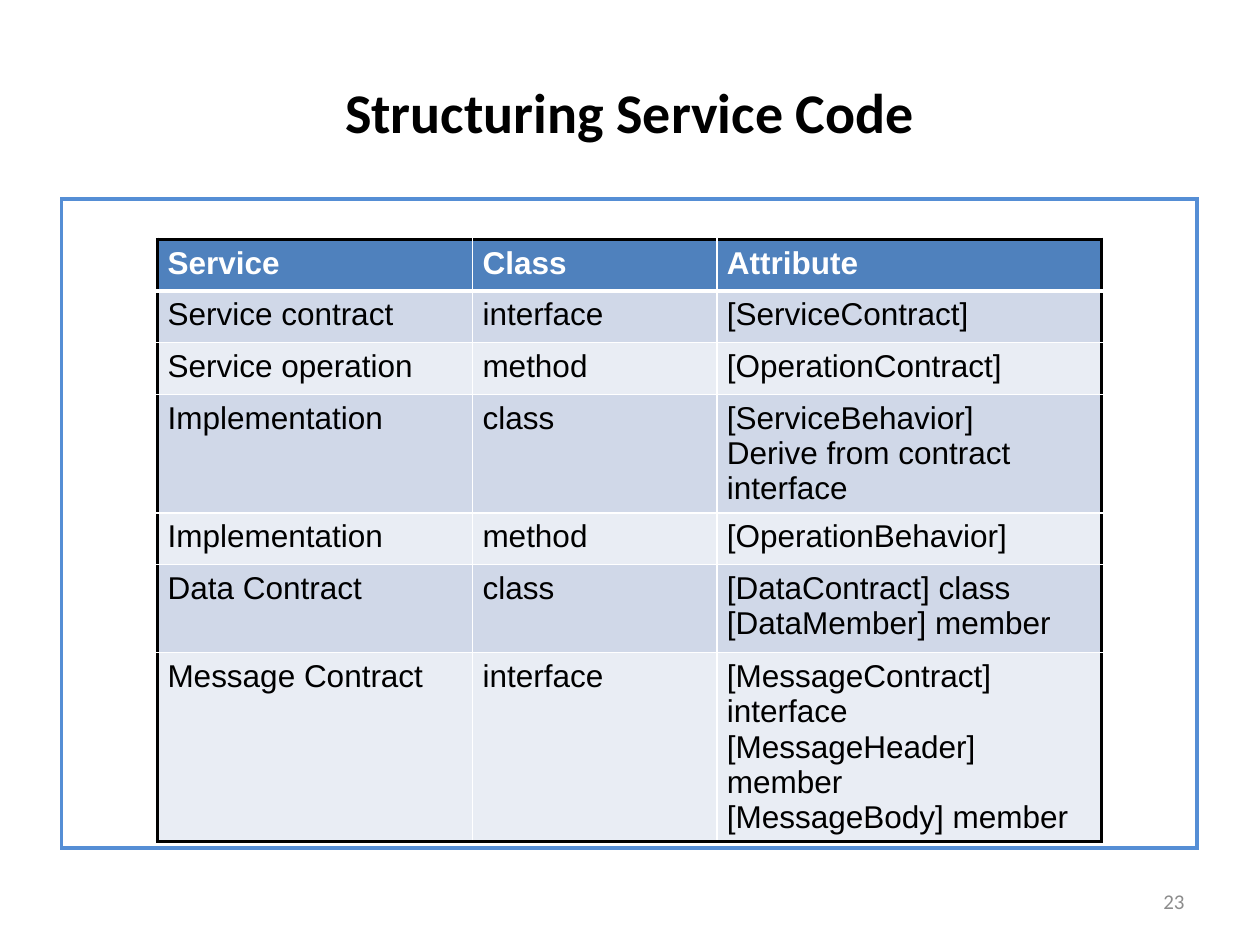
from dataclasses import dataclass

from lxml.etree import SubElement
from pptx import Presentation
from pptx.dml.color import RGBColor
from pptx.enum.text import MSO_ANCHOR as Anchor, PP_ALIGN as Align
from pptx.oxml import parse_xml
from pptx.oxml.ns import nsdecls, qn
from pptx.util import Inches, Pt


@dataclass(frozen=True)
class Theme:
    heading_font: str = "Calibri"
    body_font: str = "Arial"
    title_size: float = 32
    body_size: float = 18
    number_size: float = 12
    black: str = "000000"
    white: str = "FFFFFF"
    gray: str = "8C8C8C"
    header: str = "4F81BD"
    bands: tuple = ("D0D8E8", "E9EDF4")
    frame: str = "558ED5"
    outer_line: float = 2.25
    inner_line: float = 1
    header_line: float = 3


THEME = Theme()

COLUMN_WIDTHS = (2.5, 1.94, 3.05)
ROW_HEIGHTS = (0.41, 0.41, 0.41, 0.7, 0.41, 0.7, 1)
SERVICE_ROWS = (
    ("Service", "Class", "Attribute"),
    ("Service contract", "interface", "[ServiceContract]"),
    ("Service operation", "method", "[OperationContract]"),
    ("Implementation", "class", "[ServiceBehavior]\nDerive from contract interface"),
    ("Implementation", "method", "[OperationBehavior]"),
    ("Data Contract", "class", "[DataContract] class\n[DataMember] member"),
    ("Message Contract", "interface",
     "[MessageContract] interface\n[MessageHeader] member\n[MessageBody] member"),
)


def add_run(paragraph, text, font_name, size, color, bold=False):
    run = paragraph.add_run()
    run.text = text
    run.font.name = font_name
    run.font.size = Pt(size)
    run.font.bold = bold
    run.font.color.rgb = RGBColor.from_string(color)


def set_borders(cell, left, right, top, bottom):
    """Put the four (color, width) lines ahead of the cell's fill."""
    properties = cell._tc.get_or_add_tcPr()
    sides = zip(("lnL", "lnR", "lnT", "lnB"), (left, right, top, bottom))
    for index, (tag, (color, width)) in enumerate(sides):
        line = parse_xml(f'<a:{tag} {nsdecls("a")} w="{Pt(width)}"/>')
        fill = SubElement(line, qn("a:solidFill"))
        SubElement(fill, qn("a:srgbClr"), val=color)
        properties.insert(index, line)


def add_plain_table(slide, row_count, column_count, box):
    table = slide.shapes.add_table(row_count, column_count, *map(Inches, box)).table
    table.first_row = False
    table.horz_banding = False
    return table


def place_title(slide, box, text):
    title = slide.shapes.title
    title.left, title.top, title.width, title.height = map(Inches, box)
    title.text_frame.vertical_anchor = Anchor.MIDDLE
    paragraph = title.text_frame.paragraphs[0]
    paragraph.alignment = Align.CENTER
    add_run(paragraph, text, THEME.heading_font, THEME.title_size, THEME.black, True)


def place_service_table(slide, box):
    table = add_plain_table(slide, len(SERVICE_ROWS), len(COLUMN_WIDTHS), box)
    for column, width in zip(table.columns, COLUMN_WIDTHS):
        column.width = Inches(width)
    for row, height in zip(table.rows, ROW_HEIGHTS):
        row.height = Inches(height)

    outer = (THEME.black, THEME.outer_line)
    inner = (THEME.white, THEME.inner_line)
    below_header = (THEME.white, THEME.header_line)
    last_row, last_column = len(SERVICE_ROWS) - 1, len(COLUMN_WIDTHS) - 1
    for r, texts in enumerate(SERVICE_ROWS):
        is_header = r == 0
        fill_color = THEME.header if is_header else THEME.bands[(r - 1) % 2]
        text_color = THEME.white if is_header else THEME.black
        top = outer if is_header else below_header if r == 1 else inner
        bottom = below_header if is_header else outer if r == last_row else inner
        for c, text in enumerate(texts):
            cell = table.cell(r, c)
            cell.margin_left = cell.margin_right = Inches(0.08)
            cell.margin_top = cell.margin_bottom = Inches(0.05)
            cell.fill.solid()
            cell.fill.fore_color.rgb = RGBColor.from_string(fill_color)
            set_borders(cell, outer if c == 0 else inner,
                        outer if c == last_column else inner, top, bottom)
            for i, line in enumerate(text.split("\n")):
                frame = cell.text_frame
                paragraph = frame.add_paragraph() if i else frame.paragraphs[0]
                add_run(paragraph, line, THEME.body_font, THEME.body_size,
                        text_color, is_header)


def place_page_number(slide, box, number):
    text_frame = slide.shapes.add_textbox(*map(Inches, box)).text_frame
    text_frame.word_wrap = True
    text_frame.vertical_anchor = Anchor.MIDDLE
    paragraph = text_frame.paragraphs[0]
    paragraph.alignment = Align.RIGHT
    add_run(paragraph, number, THEME.heading_font, THEME.number_size, THEME.gray)


def place_frame(slide, box):
    cell = add_plain_table(slide, 1, 1, box).cell(0, 0)
    cell.fill.background()
    set_borders(cell, *[(THEME.frame, THEME.outer_line)] * 4)


def main():
    presentation = Presentation()
    presentation.slide_width = Inches(10)
    presentation.slide_height = Inches(7.5)
    slide = presentation.slides.add_slide(presentation.slide_layouts.get_by_name("Title Only"))

    place_title(slide, (1.25, 0.42, 7.5, 0.92), "Structuring Service Code")
    place_service_table(slide, (1.25, 1.9, 7.49, 4.04))
    place_page_number(slide, (7.17, 6.95, 2.33, 0.4), "23")
    place_frame(slide, (0.49, 1.58, 9.01, 5.15))
    presentation.save("out.pptx")


if __name__ == "__main__":
    main()
